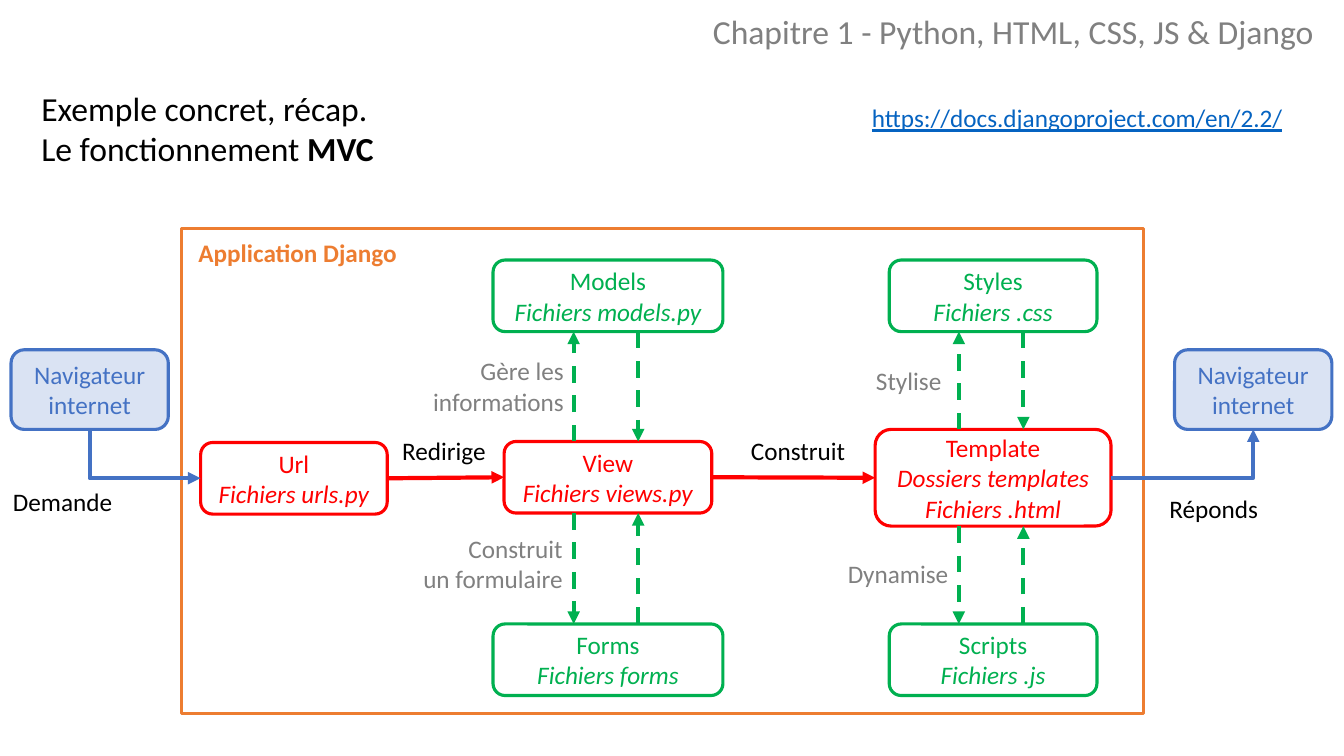
from dataclasses import dataclass

from lxml import etree
from pptx import Presentation
from pptx.dml.color import RGBColor
from pptx.enum.dml import MSO_LINE
from pptx.enum.shapes import MSO_CONNECTOR, MSO_SHAPE
from pptx.enum.text import MSO_ANCHOR, MSO_AUTO_SIZE, PP_ALIGN
from pptx.oxml.ns import qn
from pptx.util import Pt

PX = 9144  # 100 px to the inch
RECT, ROUND = MSO_SHAPE.RECTANGLE, MSO_SHAPE.ROUNDED_RECTANGLE
STRAIGHT, ELBOW = MSO_CONNECTOR.STRAIGHT, MSO_CONNECTOR.ELBOW
DASH = MSO_LINE.DASH
LEFT, CENTER, RIGHT = PP_ALIGN.LEFT, PP_ALIGN.CENTER, PP_ALIGN.RIGHT
TOP, MIDDLE = MSO_ANCHOR.TOP, MSO_ANCHOR.MIDDLE
NO_FIT, GROW = MSO_AUTO_SIZE.NONE, MSO_AUTO_SIZE.SHAPE_TO_FIT_TEXT
NORTH, WEST, SOUTH, EAST = range(4)  # connection sites of a box


@dataclass(frozen=True)
class Theme:
    font: str = "Calibri"
    head: int = 24
    body: int = 18
    edge: float = 2.25
    arrow: float = 3
    black: str = "000000"
    white: str = "FFFFFF"
    grey: str = "808080"
    link: str = "0563C1"
    orange: str = "ED7D31"
    red: str = "FF0000"
    green: str = "00B050"
    blue: str = "4472C4"
    pale: str = "DAE3F3"


THEME = Theme()


def rgb(code):
    return RGBColor.from_string(code)


def emu(*lengths):
    return [round(n * PX) for n in lengths]


def write(shape, lines, size=THEME.body, color=THEME.black, align=LEFT,
          anchor=TOP, wrap=True, fit=NO_FIT, bold=False, line=None, before=0):
    """Fill a shape with lines; a line is a string or a list of (text, style)."""
    frame = shape.text_frame
    frame.word_wrap, frame.auto_size = wrap, fit
    frame.vertical_anchor = anchor
    for i, runs in enumerate(lines):
        para = frame.add_paragraph() if i else frame.paragraphs[0]
        para.alignment, para.line_spacing = align, line
        para.space_before = Pt(before)
        for text, style in [(runs, "")] if isinstance(runs, str) else runs:
            run = para.add_run()
            run.text = text
            font = run.font
            font.name, font.size = THEME.font, Pt(size)
            font.color.rgb = rgb(color)
            font.bold = bold or "b" in style
            font.italic = "i" in style
            font.underline = "u" in style


def label(slide, box, *lines, **style):
    shape = slide.shapes.add_textbox(*emu(*box))
    write(shape, lines, wrap=False, fit=GROW, **style)


def panel(slide, box, kind, edge, fill=None):
    shape = slide.shapes.add_shape(kind, *emu(*box))
    shape.shadow.inherit = False
    shape.line.color.rgb, shape.line.width = rgb(edge), Pt(THEME.edge)
    if fill:
        shape.fill.solid()
        shape.fill.fore_color.rgb = rgb(fill)
    else:
        shape.fill.background()
    return shape


def card(slide, box, color, name, *files, fill=THEME.white):
    shape = panel(slide, box, ROUND, color, fill)
    lines = [name] + [[(file, "i")] for file in files]
    write(shape, lines, color=color, align=CENTER, anchor=MIDDLE)
    return shape


def arrow(slide, color, ends=(0, 0, 0, 0), kind=STRAIGHT, dash=None, tip="tailEnd"):
    link = slide.shapes.add_connector(kind, *emu(*ends))
    link.line.color.rgb, link.line.width = rgb(color), Pt(THEME.arrow)
    if dash:
        link.line.dash_style = dash
    props = link._element.spPr
    etree.SubElement(props.find(qn("a:ln")), qn("a:" + tip), type="triangle")
    etree.SubElement(props, qn("a:effectLst"))
    return link


def join(slide, color, start, site, stop, side, **style):
    """Glue an arrow to one site of each of two boxes."""
    link = arrow(slide, color, **style)
    link.begin_connect(start, site)
    link.end_connect(stop, side)
    return link


def corner(slide, start, site, stop, tip):
    """Join the side of a box to the bottom of another with a single bend."""
    link = join(slide, THEME.blue, start, site, stop, SOUTH, kind=ELBOW, tip=tip)
    link._element.spPr.find(qn("a:prstGeom")).set("prst", "bentConnector2")


def header(slide, box):
    x, y, w, h = box
    title, sub = slide.shapes.title, slide.placeholders[1]
    title.left, title.top, title.width, title.height = emu(x + 31, y + 82, 751, 91)
    sub.left, sub.top, sub.width, sub.height = emu(x + w - 636, y + 14, 636, 45)
    write(title, ["Exemple concret, récap.",
                  [("Le fonctionnement ", ""), ("MVC", "b")]], size=THEME.head)
    write(sub, ["Chapitre 1 - Python, HTML, CSS, JS & Django"],
          size=THEME.head, color=THEME.grey, line=0.8, before=10)
    label(slide, (x + 855, y + 97, 432, 40),
          [("https://docs.djangoproject.com/en/2.2/", "u")], color=THEME.link)


def column(slide, box, upper, core, lower, size):
    """A red core between two green cards, with a pair of arrows on each side."""
    x, y, w, h = box
    side, (wide, tall) = 71, size
    mid = x + w // 2
    roof = y + (h - tall) // 2
    floor = roof + tall
    card(slide, (x, y, w, side), THEME.green, *upper)
    card(slide, (x, y + h - side, w, side), THEME.green, *lower)
    heart = card(slide, (mid - wide // 2, roof, wide, tall), THEME.red, *core)
    out, back = mid - 34, mid + 30
    for near, far in ((roof, y + side), (floor, y + h - side)):
        arrow(slide, THEME.green, (out, near, out, far), dash=DASH)
        arrow(slide, THEME.green, (back, far, back, near), dash=DASH)
    return heart


def app(slide, box):
    """Draw the framed application; return its first and last steps."""
    x, y, w, h = box
    panel(slide, box, RECT, THEME.orange)
    label(slide, (x + 7, y + 4, 219, 40), "Application Django",
          color=THEME.orange, bold=True)
    url = card(slide, (x + 19, y + 212, 185, 71), THEME.red,
               "Url", "Fichiers urls.py")
    view = column(slide, (x + 309, y + 31, 228, 432),
                  ("Models", "Fichiers models.py"), ("View", "Fichiers views.py"),
                  ("Forms", "Fichiers forms"), (206, 71))
    page = column(slide, (x + 702, y + 31, 206, 432),
                  ("Styles", "Fichiers .css"),
                  ("Template", "Dossiers templates", "Fichiers .html"),
                  ("Scripts", "Fichiers .js"), (234, 96))
    for start, stop in ((url, view), (view, page)):
        join(slide, THEME.red, start, EAST, stop, WEST)
    label(slide, (x + 209, y + 200, 104, 40), "Redirige")
    label(slide, (x + 555, y + 200, 115, 40), "Construit")
    grey = {"color": THEME.grey}
    label(slide, (x + 679, y + 131, 86, 40), "Stylise", **grey)
    label(slide, (x + 651, y + 322, 121, 40), "Dynamise", **grey)
    label(slide, (x + 238, y + 121, 151, 71), "Gère les", "informations",
          align=RIGHT, **grey)
    label(slide, (x + 228, y + 297, 160, 71), "Construit", "un formulaire",
          align=RIGHT, **grey)
    return url, page


def client(slide, box, step, site, tip, word, spot):
    """A browser box, its elbow arrow to a step and the word beside it."""
    x, y, w, h = box
    shape = card(slide, box, THEME.blue, "Navigateur internet", fill=THEME.pale)
    corner(slide, step, site, shape, tip)
    dx, dy, wide = spot
    label(slide, (x + dx, y + dy, wide, 40), word)


def main():
    deck = Presentation()
    deck.slide_width, deck.slide_height = emu(1333, 750)
    slide = deck.slides.add_slide(deck.slide_layouts[0])
    header(slide, (0, 0, 1333, 180))
    url, page = app(slide, (180, 227, 954, 481))
    client(slide, (11, 347, 156, 79), url, WEST, "headEnd", "Demande", (-8, 131, 120))
    client(slide, (1165, 347, 156, 79), page, EAST, "tailEnd", "Réponds", (-15, 137, 109))
    deck.save("out.pptx")


if __name__ == "__main__":
    main()
